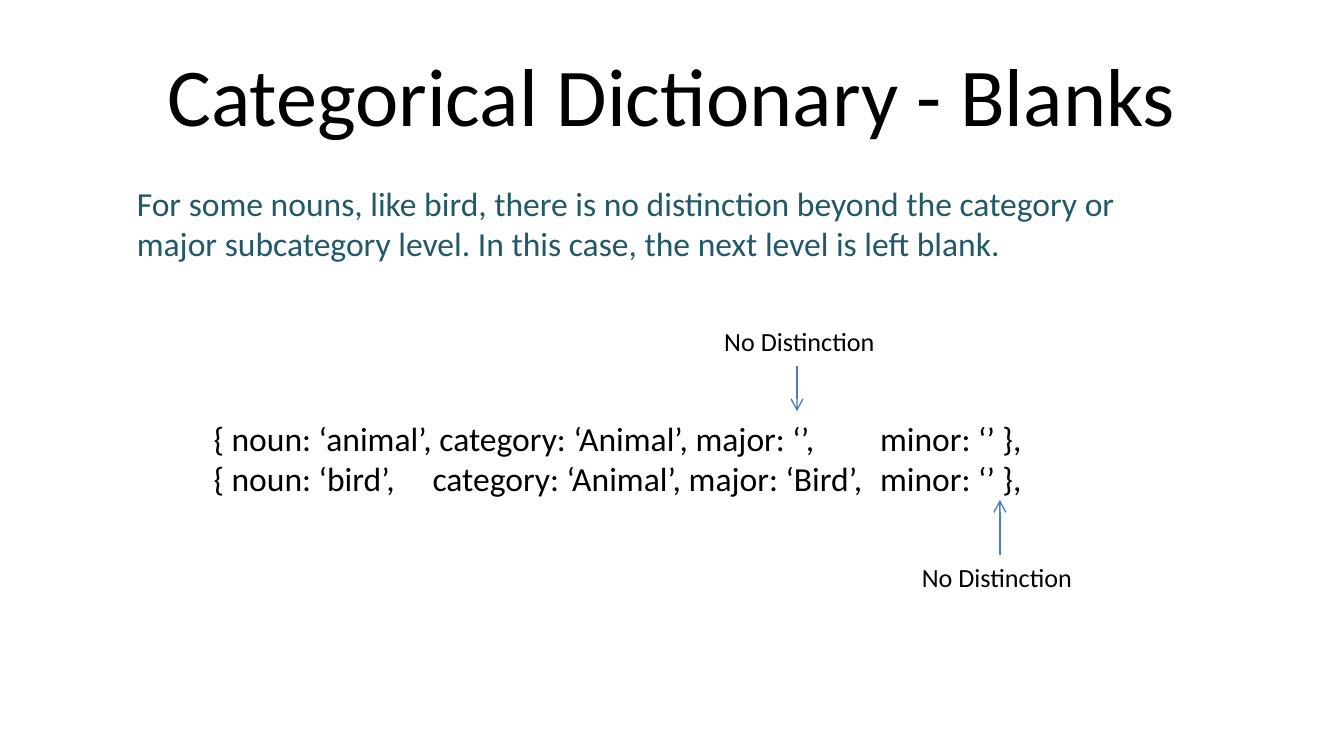
from dataclasses import dataclass
from lxml import etree
from pptx import Presentation, util as u
from pptx.dml.color import RGBColor
from pptx.enum import shapes, text
from pptx.oxml.ns import qn


@dataclass(frozen=True)
class Theme:
    font: str = "Calibri"
    ink: str = "000000"
    teal: str = "215968"
    blue: str = "4B7EBC"
    head: int = 44
    body: int = 18
    note: int = 14
    line: float = 0.75


class Deck:
    cell = 0.1

    def __init__(self, theme, cols, rows):
        self.theme = theme
        self.prs = Presentation()
        self.prs.slide_width, self.prs.slide_height = self.grid(cols, rows)
        self.slide = self.prs.slides.add_slide(self.prs.slide_layouts[6])

    def grid(self, *cells):
        return [u.Inches(round(n * self.cell, 4)) for n in cells]

    def text(self, words, box, size, color=None, align="LEFT", tabs=(), **form):
        frame = self.slide.shapes.add_textbox(*self.grid(*box)).text_frame
        base = dict(word_wrap=True, auto_size=text.MSO_AUTO_SIZE.SHAPE_TO_FIT_TEXT)
        for key, val in {**base, **form}.items():
            setattr(frame, key, val)
        para = frame.paragraphs[0]
        para.text = words
        para.alignment = text.PP_ALIGN[align]
        for run in para.runs:
            for key, val in dict(name=self.theme.font, size=u.Pt(size)).items():
                setattr(run.font, key, val)
            run.font.color.rgb = RGBColor.from_string(color or self.theme.ink)
        if tabs:
            stops = etree.SubElement(para._p.get_or_add_pPr(), qn("a:tabLst"))
            for pos in self.grid(*tabs):
                etree.SubElement(stops, qn("a:tab"), pos=str(int(pos)), algn="l")

    def arrow(self, col, start, end):
        link = self.slide.shapes.add_connector(
            shapes.MSO_CONNECTOR.STRAIGHT, *self.grid(col, start, col, end))
        link.line.color.rgb = RGBColor.from_string(self.theme.blue)
        link.line.width = u.Pt(self.theme.line)
        etree.SubElement(link.line._get_or_add_ln(), qn("a:tailEnd"), type="arrow")
        etree.SubElement(link._element.spPr, qn("a:effectLst"))

    def save(self):
        self.prs.save("out.pptx")


look = Theme()
deck = Deck(look, 100, 56.25)

deck.text("Categorical Dictionary - Blanks", (5, 2.3, 90, 9.4), look.head,
          align="CENTER", auto_size=text.MSO_AUTO_SIZE.NONE,
          vertical_anchor=text.MSO_ANCHOR.MIDDLE)
deck.text("For some nouns, like bird, there is no distinction beyond the category "
          "or major subcategory level. In this case, the next level is left blank.",
          (9.2, 13.1, 80, 7.1), look.body, look.teal)
deck.text("{ noun: ‘animal’, category: ‘Animal’, major: ‘’,\tminor: ‘’ },\v"
          "{ noun: ‘bird’,\tcategory: ‘Animal’, major: ‘Bird’,\tminor: ‘’ },",
          (14.9, 30.6, 70.8, 7.1), look.body, tabs=(16.3, 49.6))

for left, top, col, start, end in [(52.9, 23.7, 59.3, 27.2, 30.6),
                                   (67.6, 41.3, 74.4, 41.3, 37.2)]:
    deck.text("No Distinction", (left, top, 13.8, 3.4), look.note)
    deck.arrow(col, start, end)

deck.save()
